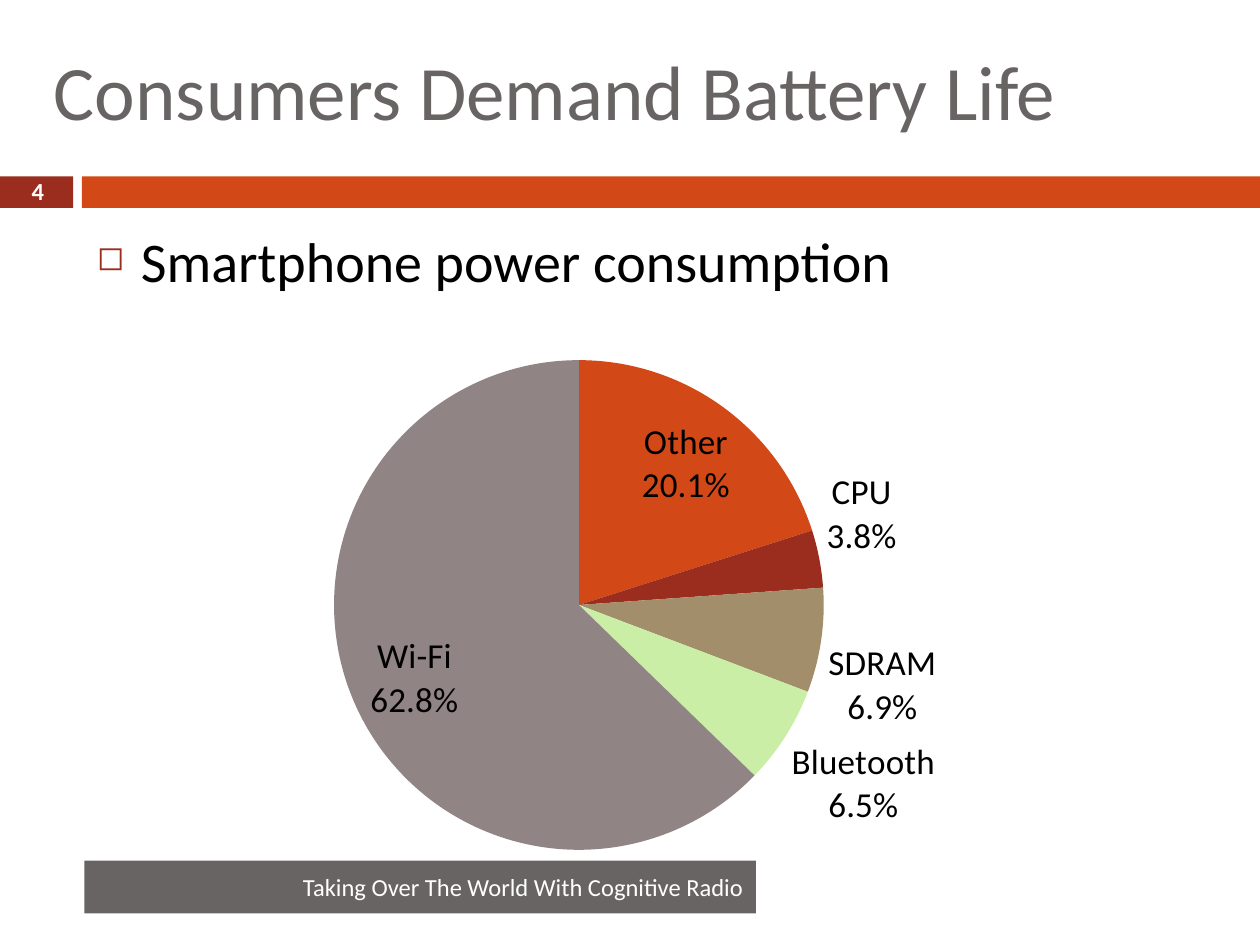
from lxml import etree
from pptx import Presentation
from pptx.chart.data import CategoryChartData
from pptx.dml.color import RGBColor
from pptx.enum.chart import XL_CHART_TYPE, XL_LABEL_POSITION
from pptx.enum.shapes import MSO_SHAPE
from pptx.enum.text import MSO_ANCHOR, PP_ALIGN
from pptx.oxml import parse_xml
from pptx.oxml.ns import nsdecls, qn
from pptx.util import Inches, Pt

PIE = XL_CHART_TYPE.PIE
BEST_FIT = XL_LABEL_POSITION.BEST_FIT
RECTANGLE = MSO_SHAPE.RECTANGLE
TOP, MIDDLE = MSO_ANCHOR.TOP, MSO_ANCHOR.MIDDLE
LEFT, CENTER, RIGHT = PP_ALIGN.LEFT, PP_ALIGN.CENTER, PP_ALIGN.RIGHT

FONT = "Calibri"
COLORS = {
    "orange": "D34817",
    "red": "9B2D1F",
    "tan": "A28E6A",
    "green": "CAEEA6",
    "mauve": "918485",
    "gray": "696464",
    "white": "FFFFFF",
    "black": "000000",
}
POWER_SHARES = [
    ("Other", 20.1, "orange"),
    ("CPU", 3.8, "red"),
    ("SDRAM", 6.9, "tan"),
    ("Bluetooth", 6.5, "green"),
    ("Wi-Fi", 62.8, "mauve"),
]
PIE_LAYOUT = {"x": 0.22, "y": 0.14, "w": 0.44, "h": 0.79}


def rgb(name):
    return RGBColor.from_string(COLORS[name])


def style_font(font, size, color, bold=False):
    font.name = FONT
    font.size = Pt(size)
    font.bold = bold
    font.color.rgb = rgb(color)


def write_text(shape, text, size, color, align=LEFT, anchor=TOP, bold=False):
    frame = shape.text_frame
    frame.word_wrap = True
    frame.vertical_anchor = anchor
    paragraph = frame.paragraphs[0]
    paragraph.alignment = align
    run = paragraph.add_run()
    run.text = text
    style_font(run.font, size, color, bold)
    return paragraph


def add_bar(slide, left, top, width, height, color):
    shape = slide.shapes.add_shape(
        RECTANGLE, Inches(left), Inches(top), Inches(width), Inches(height)
    )
    shape.shadow.inherit = False
    shape.fill.solid()
    shape.fill.fore_color.rgb = rgb(color)
    shape.line.fill.background()
    return shape


def add_text(slide, left, top, width, height, text, size, color, **options):
    box = slide.shapes.add_textbox(
        Inches(left), Inches(top), Inches(width), Inches(height)
    )
    return write_text(box, text, size, color, **options)


def add_bullet(paragraph, symbol, color, percent, indent):
    paragraph.space_before = Pt(7)
    properties = paragraph._p.get_or_add_pPr()
    properties.set("marL", str(Inches(indent)))
    properties.set("indent", str(-Inches(indent)))
    bullet_color = etree.SubElement(properties, qn("a:buClr"))
    etree.SubElement(bullet_color, qn("a:srgbClr"), val=COLORS[color])
    etree.SubElement(properties, qn("a:buSzPct"), val=str(percent * 1000))
    etree.SubElement(properties, qn("a:buChar"), char=symbol)


def place_plot(chart, layout):
    plot_area = chart._chartSpace.chart.plotArea
    for old_layout in plot_area.findall(qn("c:layout")):
        plot_area.remove(old_layout)
    modes = "".join(f'<c:{side}Mode val="edge"/>' for side in "xy")
    sizes = "".join(f'<c:{key} val="{value}"/>' for key, value in layout.items())
    plot_area.insert(0, parse_xml(
        f'<c:layout {nsdecls("c")}><c:manualLayout>'
        f'<c:layoutTarget val="inner"/>{modes}{sizes}'
        "</c:manualLayout></c:layout>"
    ))


def add_pie(slide, left, top, width, height, shares):
    data = CategoryChartData(number_format="0.0")
    data.categories = [name for name, _, _ in shares]
    data.add_series("Series 1", [value for _, value, _ in shares])
    chart = slide.shapes.add_chart(
        PIE, Inches(left), Inches(top), Inches(width), Inches(height), data
    ).chart
    chart.has_legend = False
    chart.has_title = False
    style_font(chart.font, 10, "black")
    plot = chart.plots[0]
    plot.vary_by_categories = True
    series = plot.series[0]
    for index, (_, _, color) in enumerate(shares):
        fill = series.points[index].format.fill
        fill.solid()
        fill.fore_color.rgb = rgb(color)
    labels = series.data_labels
    style_font(labels.font, 20, "black")
    labels.number_format = '0.0"%"'
    labels.number_format_is_linked = False
    labels.position = BEST_FIT
    labels.show_category_name = True
    labels.show_value = True
    separator = parse_xml(f'<c:separator {nsdecls("c")}>\n</c:separator>')
    labels._element.find(qn("c:showBubbleSize")).addnext(separator)
    place_plot(chart, PIE_LAYOUT)


def main():
    presentation = Presentation()
    presentation.slide_width = Inches(10)
    presentation.slide_height = Inches(7.5)
    slide = presentation.slides.add_slide(presentation.slide_layouts[6])

    add_bar(slide, 0, 1.4, 0.58, 0.25, "red")
    add_bar(slide, 0.65, 1.4, 9.35, 0.25, "orange")
    add_text(slide, 0.06, 1.35, 0.48, 0.34, "4", 14, "white",
             align=CENTER, bold=True)
    footer = add_bar(slide, 0.67, 6.83, 5.33, 0.42, "gray")
    write_text(footer, "Taking Over The World With Cognitive Radio", 14, "white",
               align=RIGHT, anchor=MIDDLE)
    add_text(slide, 0.33, 0.17, 9.33, 1.08, "Consumers Demand Battery Life",
             44, "gray", anchor=MIDDLE)
    add_pie(slide, 0.67, 2.17, 8.92, 4.92, POWER_SHARES)
    heading = add_text(slide, 0.67, 1.75, 8.92, 4.92,
                       "Smartphone power consumption", 32, "black")
    add_bullet(heading, "◻", "red", 60, 0.35)

    presentation.save("out.pptx")


if __name__ == "__main__":
    main()
